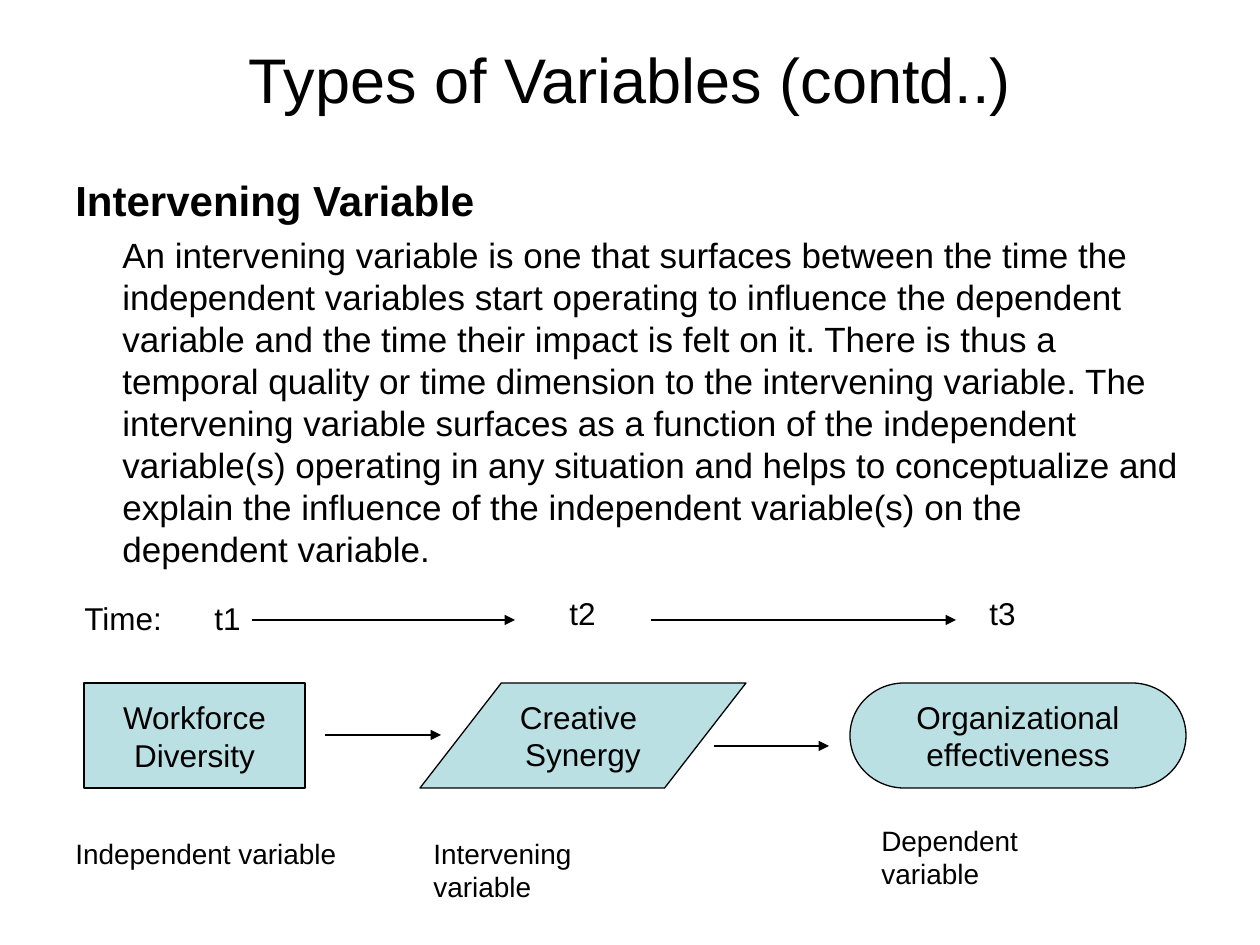
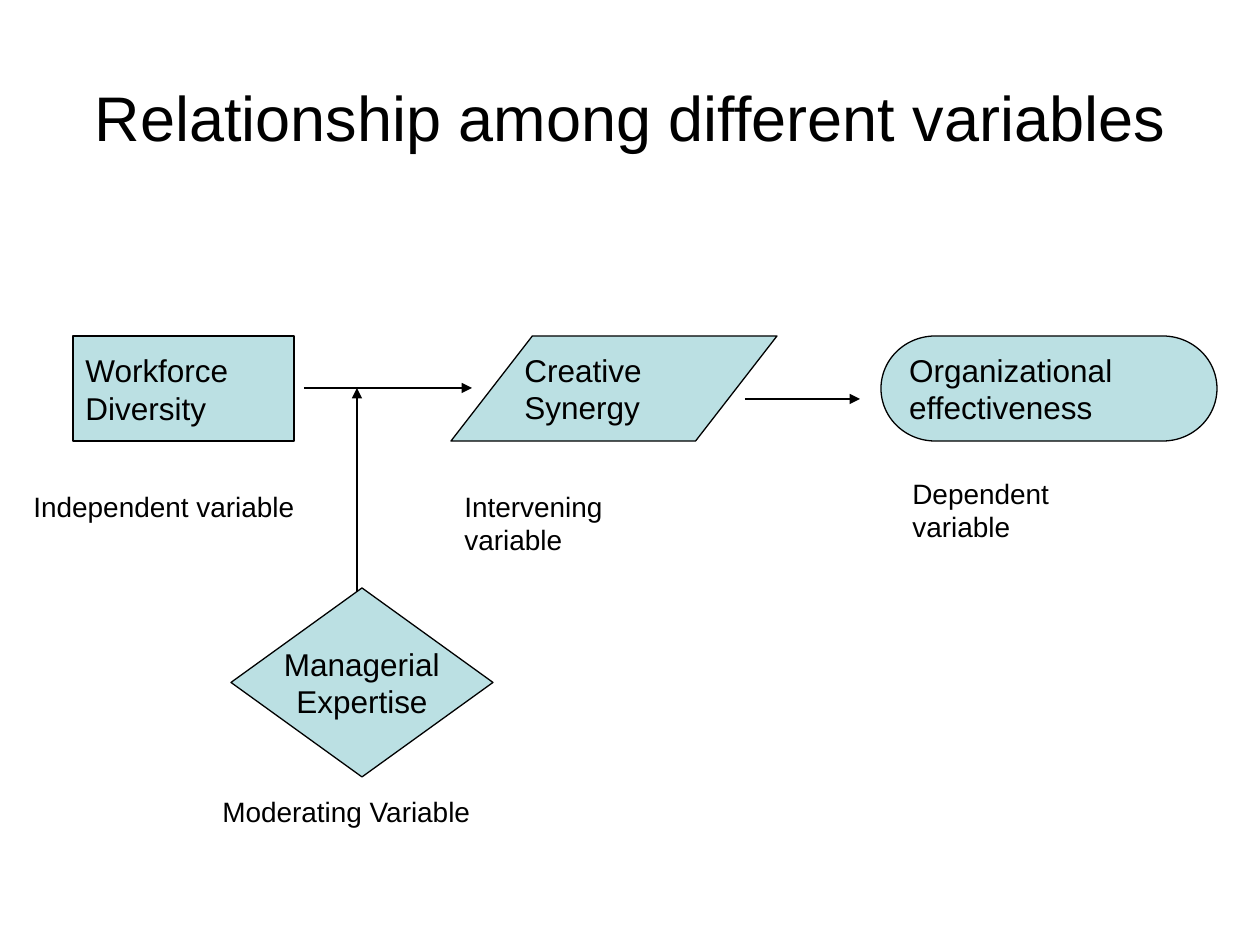
from pptx import Presentation
from pptx.dml.color import RGBColor
from pptx.enum.shapes import MSO_CONNECTOR, MSO_SHAPE
from pptx.enum.text import MSO_ANCHOR, PP_ALIGN
from pptx.oxml.ns import qn
from pptx.util import Emu, Pt
from lxml.etree import SubElement

SCALE = 914400 / 126
COLORS = {"ink": "000000", "fill": "BBE0E3"}
FONT = "Arial"
NODE_H = 105
LABEL_H = 47


def px(n):
    return Emu(round(n * SCALE))


def color(name):
    return RGBColor.from_string(COLORS[name])


def write(para, text, size, bold=False):
    run = para.add_run()
    run.text = text
    font = run.font
    font.name, font.size, font.bold = FONT, Pt(size), bold
    font.color.rgb = color("ink")


def fill_text(frame, lines, size, align=PP_ALIGN.LEFT, wrap=False, anchor=MSO_ANCHOR.TOP):
    frame.word_wrap = wrap
    frame.vertical_anchor = anchor
    for i, line in enumerate(lines):
        para = frame.add_paragraph() if i else frame.paragraphs[0]
        para.alignment = align
        write(para, line, size)


def label(slide, x, y, w, text, size=16):
    box = slide.shapes.add_textbox(px(x), px(y), px(w), px(LABEL_H))
    fill_text(box.text_frame, [text], size)
    return box


def title(slide, y, text):
    box = slide.shapes.add_textbox(px(63), px(y), px(1134), px(157))
    fill_text(box.text_frame, [text], 36, PP_ALIGN.CENTER, True, MSO_ANCHOR.MIDDLE)


def node(slide, kind, x, y, w, h, lines, align):
    shape = slide.shapes.add_shape(kind, px(x), px(y), px(w), px(h))
    shape.shadow.inherit = False
    shape.fill.solid()
    shape.fill.fore_color.rgb = color("fill")
    shape.line.color.rgb = color("ink")
    shape.line.width = Pt(0.75)
    fill_text(shape.text_frame, lines, 18, align, anchor=MSO_ANCHOR.MIDDLE)
    return shape


def arrow(slide, x1, y1, x2, y2):
    line = slide.shapes.add_connector(MSO_CONNECTOR.STRAIGHT, px(x1), px(y1), px(x2), px(y2))
    line.line.color.rgb = color("ink")
    line.line.width = Pt(0.75)
    SubElement(line.line._get_or_add_ln(), qn("a:tailEnd"), type="triangle")
    SubElement(line._element.spPr, qn("a:effectLst"))


def flow(slide, left, mid, y, gap, shift, lines, align):
    """Three linked variables; gap precedes the first arrow, shift moves the first label."""
    end = mid + 430
    rect, slant, pill = lines
    node(slide, MSO_SHAPE.RECTANGLE, left, y, 221, NODE_H, rect, align)
    shape = node(slide, MSO_SHAPE.PARALLELOGRAM, mid, y, 326, NODE_H, slant, align)
    shape.adjustments[0] = 0.775
    node(slide, MSO_SHAPE.FLOWCHART_TERMINATOR, end, y, 336, NODE_H, pill, align)
    # Links
    arrow(slide, left + 221 + gap, y + 52, mid + 21, y + 52)
    arrow(slide, mid + 294, y + 63, mid + 409, y + 63)
    # Roles
    label(slide, left - shift, y + 147, 286, "Independent variable")
    label(slide, mid + 1, y + 147, 268, "Intervening variable")
    label(slide, end + 19, y + 134, 267, "Dependent variable")


def body(slide, x, y, w, h, head, text):
    box = slide.shapes.add_textbox(px(x), px(y), px(w), px(h))
    frame = box.text_frame
    frame.word_wrap = True
    write(frame.paragraphs[0], head, 24, True)
    para = frame.add_paragraph()
    para.space_before = Pt(5)
    para._p.get_or_add_pPr().set("marL", str(px(47)))
    write(para, text, 20)


def timeline(slide, x, y):
    start = label(slide, x, y + 5, 183, "Time:\tt1", 18)
    tabs = SubElement(start.text_frame.paragraphs[0]._p.get_or_add_pPr(), qn("a:tabLst"))
    SubElement(tabs, qn("a:tab"), pos=str(px(130)), algn="l")
    for step, text in ((485, "t2"), (905, "t3")):
        label(slide, x + step, y, 52, text, 18)
    for first, last in ((180, 443), (579, 884)):
        arrow(slide, x + first, y + 32, x + last, y + 32)


def types(slide):
    title(slide, 0, "Types of Variables (contd..)")
    body(slide, 63, 168, 1134, 703, "Intervening Variable",
         "An intervening variable is one that surfaces between the time the "
         "independent variables start operating to influence the dependent "
         "variable and the time their impact is felt on it. There is thus a "
         "temporal quality or time dimension to the intervening variable. The "
         "intervening variable surfaces as a function of the independent "
         "variable(s) operating in any situation and helps to conceptualize and "
         "explain the influence of the independent variable(s) on the "
         "dependent variable.")
    timeline(slide, 72, 588)
    lines = (("Workforce", "Diversity"), ("Creative ", "Synergy"),
             ("Organizational", "effectiveness"))
    flow(slide, 84, 420, 683, 20, 21, lines, PP_ALIGN.CENTER)


def links(slide):
    title(slide, 38, "Relationship among different variables")
    lines = (("Workforce", "Diversity"), ("Creative", "Synergy"),
             ("Organizational", "effectiveness"))
    flow(slide, 73, 451, 336, 10, 52, lines, PP_ALIGN.LEFT)
    # Moderator acting on the first link
    arrow(slide, 357, 630, 357, 388)
    node(slide, MSO_SHAPE.FLOWCHART_DECISION, 231, 588, 262, 189,
         ("Managerial", "Expertise"), PP_ALIGN.CENTER)
    label(slide, 210, 788, 275, "Moderating Variable")


def main():
    deck = Presentation()
    deck.slide_width, deck.slide_height = px(1260), px(945)
    for build in (types, links):
        build(deck.slides.add_slide(deck.slide_layouts[6]))
    deck.save("out.pptx")


if __name__ == "__main__":
    main()
